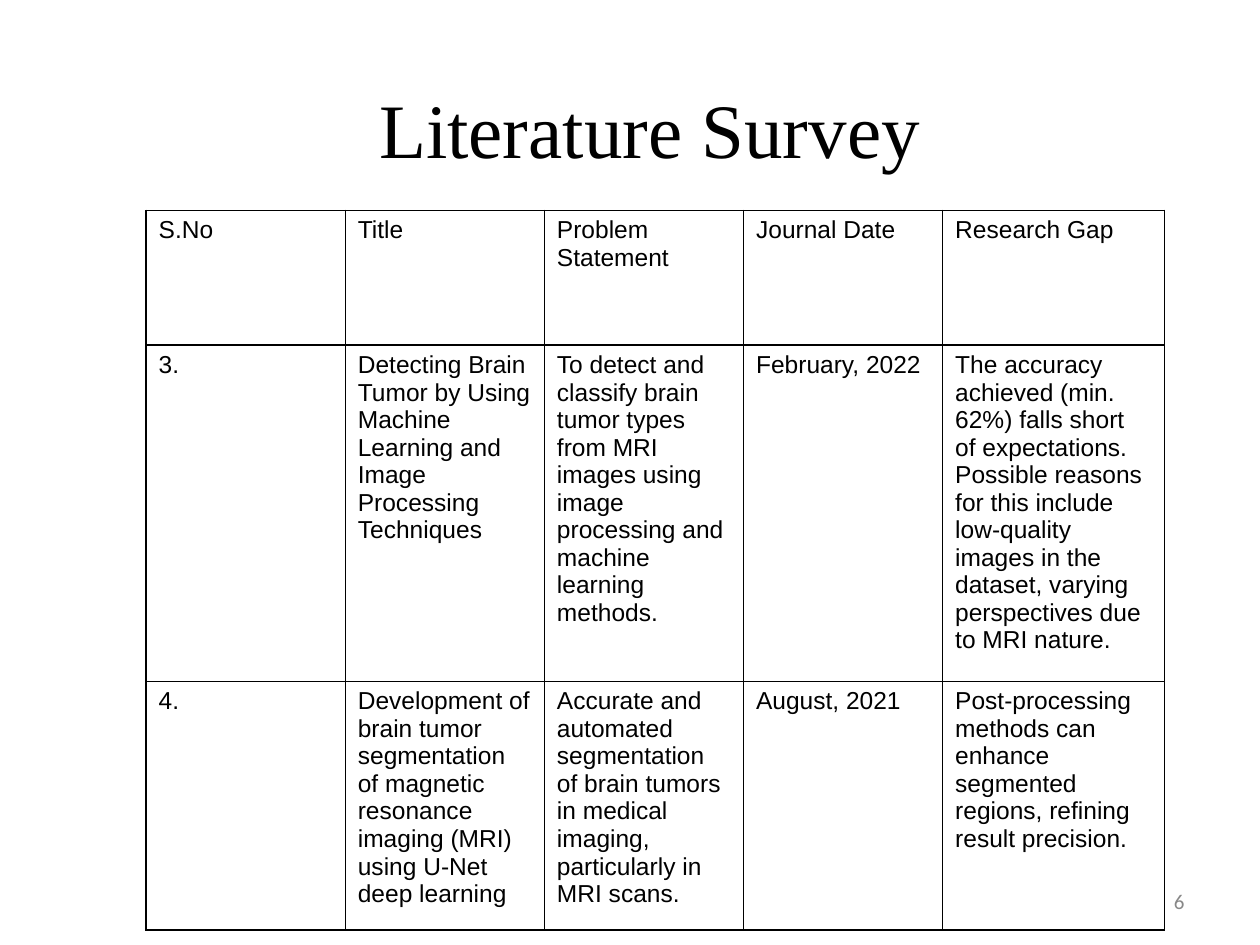
from dataclasses import dataclass

from lxml.etree import SubElement
from pptx import Presentation
from pptx.dml.color import RGBColor
from pptx.enum.text import MSO_ANCHOR, MSO_AUTO_SIZE, PP_ALIGN
from pptx.oxml.ns import qn
from pptx.slide import Slide
from pptx.table import _Cell
from pptx.text.text import _Paragraph
from pptx.util import Pt


@dataclass(frozen=True)
class Style:
    face: str
    size: float
    color: str


@dataclass(frozen=True)
class Theme:
    title: Style = Style("Times New Roman", 44, "000000")
    body: Style = Style("Arial", 14, "000000")
    page: Style = Style("Calibri", 12, "888888")
    rule: str = "000000"
    width: float = 1


@dataclass(frozen=True)
class Entry:
    number: str
    title: str
    problem: str
    date: str
    gap: str

    def texts(self) -> tuple[str, ...]:
        return self.number, self.title, self.problem, self.date, self.gap


THEME = Theme()
COLS = [113.8] * 4 + [126.7]
ROWS = [77, 142, 142]
ENTRIES = [
    Entry("S.No", "Title", "Problem Statement", "Journal Date", "Research Gap"),
    Entry(
        "3.",
        "Detecting Brain Tumor by Using Machine Learning and Image Processing Techniques",
        "To detect and classify brain tumor types from MRI images using image "
        "processing and machine learning methods.",
        "February, 2022",
        "The accuracy achieved (min. 62%) falls short of expectations. Possible "
        "reasons for this include low-quality images in the dataset, varying "
        "perspectives due to MRI nature.",
    ),
    Entry(
        "4.",
        "Development of brain tumor segmentation of magnetic resonance imaging "
        "(MRI) using U-Net deep learning",
        "Accurate and automated segmentation of brain tumors in medical imaging, "
        "particularly in MRI scans.",
        "August, 2021",
        "Post-processing methods can enhance segmented regions, refining result "
        "precision.",
    ),
]


def write(para: _Paragraph, text: str, style: Style, align: PP_ALIGN = PP_ALIGN.LEFT) -> None:
    para.text = text
    para.alignment = align
    font = para.font
    font.name, font.size, font.bold = style.face, Pt(style.size), False
    font.color.rgb = RGBColor.from_string(style.color)


def border(cell: _Cell) -> None:
    props = cell._tc.get_or_add_tcPr()
    for index, side in enumerate(("lnL", "lnR", "lnT", "lnB")):
        line = props.makeelement(qn(f"a:{side}"), {"w": str(Pt(THEME.width))})
        fill = SubElement(line, qn("a:solidFill"))
        SubElement(fill, qn("a:srgbClr"), val=THEME.rule)
        props.insert(index, line)


def add_title(slide: Slide) -> None:
    title = slide.shapes.title
    title.left, title.top = Pt(209.5), Pt(37.5)
    title.width, title.height = Pt(474.5), Pt(96.5)
    frame = title.text_frame
    frame.auto_size = MSO_AUTO_SIZE.NONE
    frame.vertical_anchor = MSO_ANCHOR.TOP
    frame.margin_top = Pt(9)
    write(frame.paragraphs[0], "Literature Survey", THEME.title)


def add_page(slide: Slide) -> None:
    box = slide.shapes.add_textbox(Pt(516), Pt(500.5), Pt(168), Pt(28.8))
    frame = box.text_frame
    frame.word_wrap = True
    frame.vertical_anchor = MSO_ANCHOR.MIDDLE
    write(frame.paragraphs[0], "6", THEME.page, PP_ALIGN.RIGHT)


def add_survey(slide: Slide) -> None:
    frame = slide.shapes.add_table(
        len(ROWS), len(COLS), Pt(83.5), Pt(120.2), Pt(sum(COLS)), Pt(sum(ROWS))
    )
    table = frame.table
    table.first_row = table.horz_banding = False
    for col, width in zip(table.columns, COLS):
        col.width = Pt(width)
    for row, height, entry in zip(table.rows, ROWS, ENTRIES):
        row.height = Pt(height)
        for cell, text in zip(row.cells, entry.texts()):
            write(cell.text_frame.paragraphs[0], text, THEME.body)
            cell.fill.background()
            border(cell)


def main() -> None:
    """Build the literature survey slide."""
    deck = Presentation()
    deck.slide_width, deck.slide_height = Pt(720), Pt(540)
    slide = deck.slides.add_slide(deck.slide_layouts[5])
    add_page(slide)
    add_title(slide)
    add_survey(slide)
    deck.save("out.pptx")


if __name__ == "__main__":
    main()
